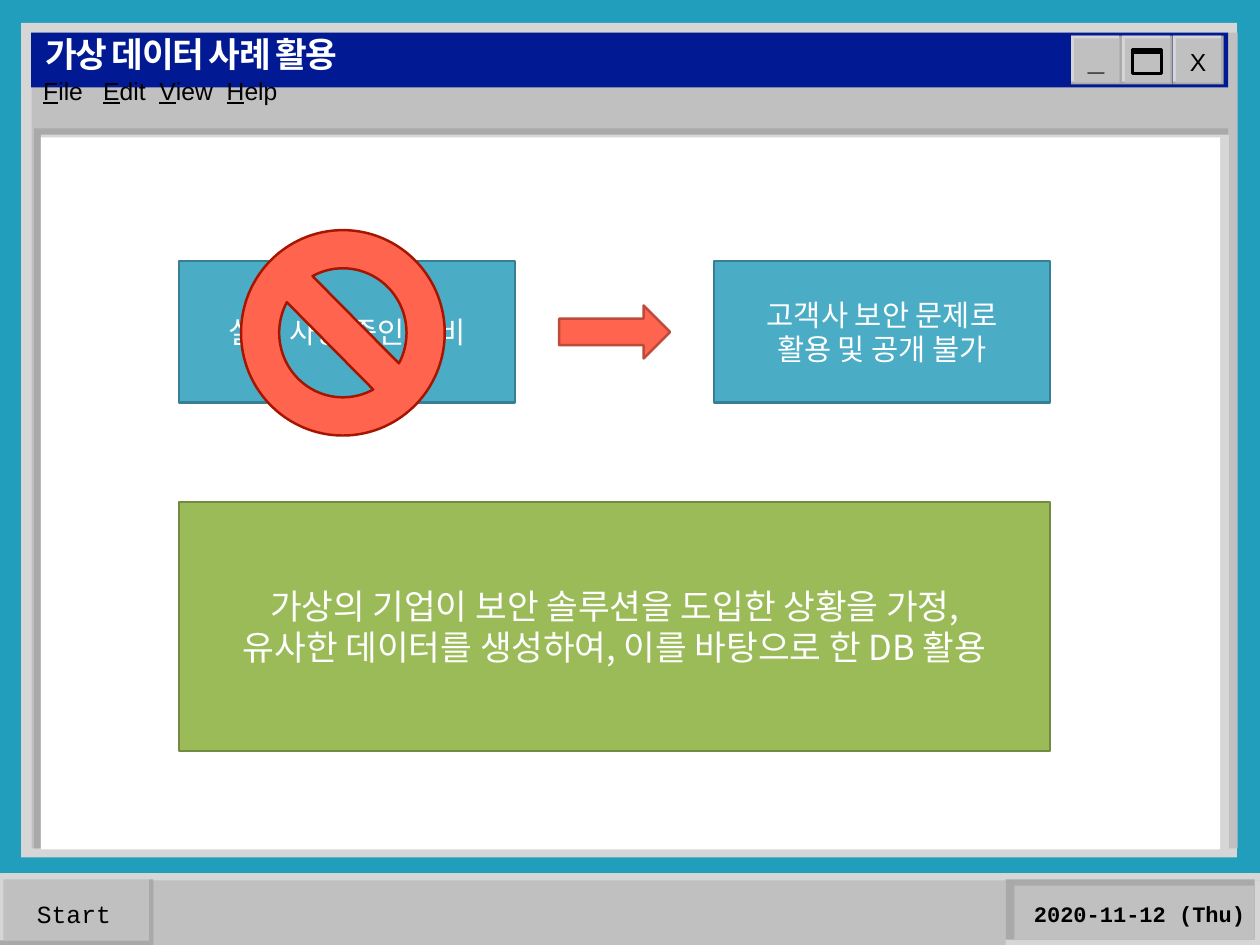
"""Build a retro desktop window slide about using virtual example data."""
from lxml import etree
from pptx import Presentation
from pptx import util as u
from pptx.dml.color import RGBColor
from pptx.enum import shapes, text
from pptx.oxml.ns import qn

TEAL = RGBColor(0x21, 0x9E, 0xBC)
LIGHT = RGBColor(0xD6, 0xD6, 0xD6)
FACE = RGBColor(0xC0, 0xC0, 0xC0)
SHADE = RGBColor(0xA9, 0xA9, 0xA9)
NAVY = RGBColor(0x01, 0x19, 0x93)
WHITE = RGBColor(0xFF, 0xFF, 0xFF)
BLACK = RGBColor(0x00, 0x00, 0x00)
BLUE = RGBColor(0x4B, 0xAC, 0xC6)
BLUE_EDGE = RGBColor(0x37, 0x7F, 0x92)
GREEN = RGBColor(0x9B, 0xBB, 0x59)
GREEN_EDGE = RGBColor(0x73, 0x8A, 0x42)
RED = RGBColor(0xFF, 0x64, 0x4E)
ARROW_EDGE = RGBColor(0xBD, 0x4A, 0x3A)
BAN_EDGE = RGBColor(0xA6, 0x15, 0x00)

KOREAN, SANS, MONO = "Noto Sans CJK KR", "Arial", "Courier New"
RECT = shapes.MSO_SHAPE.RECTANGLE


def write(frame, content, size=20, font=SANS, color=BLACK, bold=False, align=text.PP_ALIGN.LEFT,
          anchor=text.MSO_ANCHOR.MIDDLE, spacing=None, tracking=None, wrap=True):
    """Fill a text frame; an ampersand underlines the letter after it."""
    frame.word_wrap = wrap
    frame.auto_size = text.MSO_AUTO_SIZE.NONE
    frame.vertical_anchor = anchor
    paragraph = frame.paragraphs[0]
    paragraph.alignment = align
    paragraph.line_spacing = spacing
    for number, line in enumerate(content.split("\n")):
        if number:
            paragraph.add_line_break()
        plain, *marked = line.split("&")
        pieces = [(plain, False)]
        for word in marked:
            pieces += [(word[0], True), (word[1:], False)]
        for piece, underlined in pieces:
            if not piece:
                continue
            run = paragraph.add_run()
            run.text = piece
            run.font.size, run.font.name = u.Pt(size), font
            run.font.bold, run.font.underline = bold, underlined
            run.font.color.rgb = color
            properties = run.font._element
            etree.SubElement(properties, qn("a:ea")).set("typeface", font)
            if tracking:
                properties.set("spc", str(round(tracking * 100)))
    return paragraph


class Desktop:
    """Hold the current slide and draw its parts, measured in centimetres."""

    def __init__(self, slide):
        self.slide = slide
        slide.background.fill.solid()
        slide.background.fill.fore_color.rgb = TEAL

    def shape(self, box, fill=None, edge=None, kind=RECT):
        drawn = self.slide.shapes.add_shape(kind, *map(u.Cm, box))
        drawn.shadow.inherit = False
        if fill is None:
            drawn.fill.background()
        else:
            drawn.fill.solid()
            drawn.fill.fore_color.rgb = fill
        if edge is None:
            drawn.line.fill.background()
        else:
            drawn.line.color.rgb = edge
            drawn.line.width = u.Pt(2)
        return drawn

    def panels(self, *layers, left=0, top=0):
        for fill, x, y, width, height in layers:
            self.shape((left + x, top + y, width, height), fill)

    def label(self, box, content, inset=0.15, **style):
        frame = self.slide.shapes.add_textbox(*map(u.Cm, box)).text_frame
        frame.margin_left = frame.margin_right = u.Cm(inset)
        frame.margin_top = frame.margin_bottom = u.Cm(0.15)
        return write(frame, content, **style)

    def menu(self, box, content, stops):
        properties = self.label(box, content)._p.get_or_add_pPr()
        tabs = etree.SubElement(properties, qn("a:tabLst"))
        for stop in stops:
            tab = etree.SubElement(tabs, qn("a:tab"))
            tab.set("pos", str(int(u.Cm(stop))))
            tab.set("algn", "l")

    def title(self, box, content):
        heading = self.slide.shapes.title
        heading.left, heading.top, heading.width, heading.height = map(u.Cm, box)
        heading.element.getparent().append(heading.element)
        heading.text_frame.margin_top = 0
        write(heading.text_frame, content, 28, KOREAN, WHITE, True,
              anchor=text.MSO_ANCHOR.TOP, spacing=0.8, tracking=-1.2)

    def message(self, box, content, fill, edge, size):
        write(self.shape(box, fill, edge).text_frame, content, size, KOREAN, WHITE,
              align=text.PP_ALIGN.CENTER, spacing=u.Pt(round(size * 1.185, 1)))


def main():
    deck = Presentation()
    deck.slide_width, deck.slide_height = u.Cm(36.12), u.Cm(27.1)
    desktop = Desktop(deck.slides.add_slide(deck.slide_layouts[5]))

    desktop.panels(
        (LIGHT, 0, 25.04, 36.12, 1.73), (FACE, 0, 25.25, 36.12, 1.85),
        (SHADE, 0, 25.22, 4.4, 1.88), (LIGHT, 0, 25.04, 4.27, 1.93),
        (FACE, 0.1, 25.22, 4.17, 1.75),
        (LIGHT, 28.83, 25.25, 7.29, 1.85), (SHADE, 28.83, 25.22, 7.14, 1.73),
        (FACE, 29.08, 25.4, 6.88, 1.55))
    desktop.label((0.91, 25.68, 2.41, 1.07), "Start", font=MONO, wrap=False)
    desktop.label((29.39, 25.6, 6.68, 1.12), "2020-11-12 (Thu)", inset=0.25, size=17.9,
                  font=MONO, bold=True, anchor=text.MSO_ANCHOR.BOTTOM)

    desktop.panels(
        (LIGHT, 0.61, 0.66, 34.85, 23.93), (FACE, 0.91, 0.94, 34.57, 23.39),
        (NAVY, 0.89, 0.94, 34.32, 1.57), (SHADE, 0.97, 3.68, 34.24, 20.65),
        (LIGHT, 1.17, 3.86, 34.06, 20.5), (WHITE, 1.17, 3.94, 33.81, 20.42))
    for button in range(3):
        desktop.panels((SHADE, 0, 0, 1.45, 1.4), (LIGHT, 0, 0, 1.37, 1.32),
                       (FACE, 0.08, 0.08, 1.3, 1.27), left=30.71 + 1.46 * button, top=1.02)
    desktop.label((33.96, 1.22, 0.71, 1.07), "X")
    desktop.label((31.04, 1.07, 0.71, 1.22), "_", size=24, bold=True)
    desktop.shape((32.46, 1.42, 0.84, 0.69), edge=BLACK)
    desktop.shape((32.49, 1.42, 0.81, 0.13), BLACK)
    desktop.menu((1.09, 1.5, 12.5, 2.18), "&File\t&Edit\t&View\t&Help", (1.72, 3.33, 5.26))
    desktop.title((1.04, 1.19, 26.44, 1.4), "가상 데이터 사례 활용")

    left, top, width, height = 5.13, 7.49, 9.63, 4.06
    right = 20.47
    desktop.message((left, top, width, height), "실제 사용 중인 장비", BLUE, BLUE_EDGE, 24)
    desktop.message((right, top, width, height), "고객사 보안 문제로\n활용 및 공개 불가",
                    BLUE, BLUE_EDGE, 24)
    desktop.shape((16.03, 8.76, 3.18, 1.52), RED, ARROW_EDGE, shapes.MSO_SHAPE.RIGHT_ARROW)
    desktop.shape((6.91, 6.6, 5.84, 5.89), RED, BAN_EDGE, shapes.MSO_SHAPE.NO_SYMBOL)
    desktop.message((left, 14.4, right + width - left, 7.14),
                    "가상의 기업이 보안 솔루션을 도입한 상황을 가정,\n"
                    "유사한 데이터를 생성하여, 이를 바탕으로 한 DB 활용", GREEN, GREEN_EDGE, 28)
    deck.save("out.pptx")


if __name__ == "__main__":
    main()
